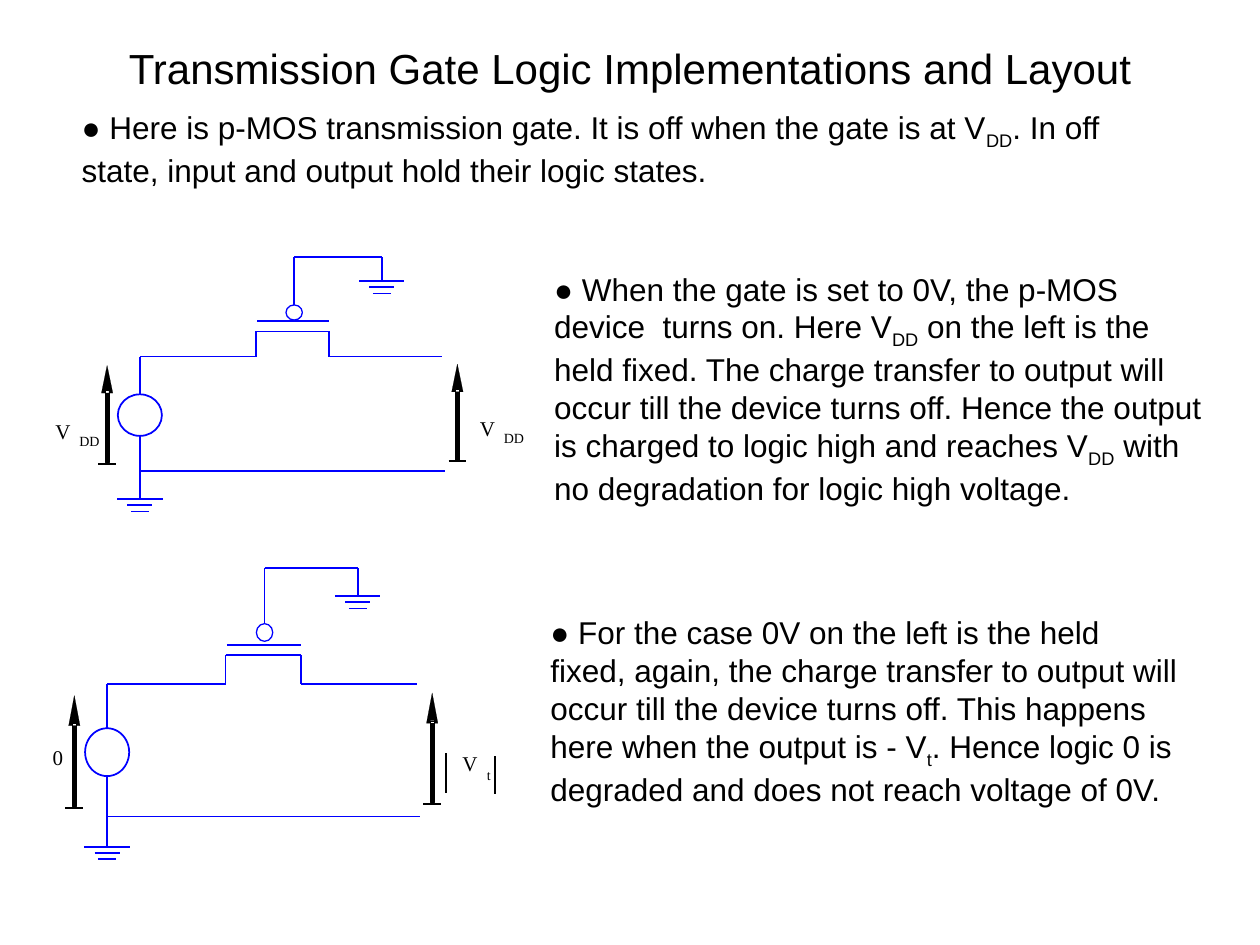
"""Build the slide on p-MOS transmission gates with two circuits and three notes."""
from lxml.etree import SubElement
from pptx import Presentation
from pptx.dml.color import RGBColor
from pptx.enum.shapes import MSO_CONNECTOR, MSO_SHAPE
from pptx.enum.text import MSO_ANCHOR, MSO_AUTO_SIZE, PP_ALIGN
from pptx.oxml.ns import qn
from pptx.util import Inches, Pt

BLUE = RGBColor(0, 0, 255)
BLACK = RGBColor(0, 0, 0)
WHITE = RGBColor(255, 255, 255)

TITLE = "Transmission Gate Logic Implementations and Layout"
NOTES = [
    ((0.55, 0.81, 8.72, 0.74),
     ("● Here is p-MOS transmission gate. It is off when the gate is at V", "DD",
      ". In off state, input and output hold their logic states.")),
    ((4.3, 2.09, 5.43, 1.98),
     ("● When the gate is set to 0V, the p-MOS device  turns on. Here V", "DD",
      " on the left is the held fixed. The charge transfer to output will occur "
      "till the device turns off. Hence the output is charged to logic high and "
      "reaches V", "DD", " with no degradation for logic high voltage.")),
    ((4.27, 4.82, 5.2, 1.64),
     ("● For the case 0V on the left is the held fixed, again, the charge transfer "
      "to output will occur till the device turns off. This happens here when the "
      "output is - V", "t",
      ". Hence logic 0 is degraded and does not reach voltage of 0V.")),
]
CIRCUITS = [
    dict(source=1.11, left=2.03, right=2.61, gate=2.335, ground=3.03, end=3.51,
         top=2.04, sink=2.23, bubble=(2.42, 0.12), plate=2.55, channel=2.63,
         rail=2.83, cell=(3.13, 0.33), back=3.74, base=3.96,
         arrows=[(0.85, 2.9, 3.67, 0.22), (3.63, 2.89, 3.65, 0.22)]),
    dict(source=0.85, left=1.79, right=2.39, gate=2.1, ground=2.84, end=3.31,
         top=4.51, sink=4.73, bubble=(4.95, 0.14), plate=5.12, channel=5.2,
         rail=5.43, cell=(5.78, 0.38), back=6.48, base=6.72,
         arrows=[(0.59, 5.52, 6.4, 0.24), (3.43, 5.5, 6.37, 0.24)]),
]
LABELS = [
    ("V", 12, 0.5, 3.32), ("DD", 8, 0.71, 3.43),
    ("V", 12, 3.87, 3.3), ("DD", 8, 4.08, 3.41),
    ("0", 12, 0.46, 5.91),
    ("V", 12, 3.73, 5.96), ("t", 8, 3.88, 6.08),
]
BARS = [(3.54, 5.98, 3.54, 6.29), (3.93, 6, 3.93, 6.3)]
EARTH = [(0, 0.18), (0.05, 0.1), (0.1, 0.07)]
WIDE = 0.24

deck = Presentation()
deck.slide_width, deck.slide_height = Inches(10), Inches(7.5)
slide = deck.slides.add_slide(deck.slide_layouts[5])
shapes = slide.shapes


def style(run, size, face):
    run.font.size, run.font.name = Pt(size), face
    run.font.color.rgb = BLACK


def wire(x1, y1, x2, y2, color=BLUE):
    line = shapes.add_connector(MSO_CONNECTOR.STRAIGHT,
                                *(Inches(n) for n in (x1, y1, x2, y2)))
    line.line.color.rgb, line.line.width = color, Pt(1)
    SubElement(line._element.spPr, qn("a:effectLst"))


def ring(x, y, wide, high, weight):
    oval = shapes.add_shape(MSO_SHAPE.OVAL, Inches(x - wide / 2), Inches(y),
                            Inches(wide), Inches(high))
    oval.shadow.inherit = False
    oval.fill.solid()
    oval.fill.fore_color.rgb = WHITE
    oval.line.color.rgb, oval.line.width = BLUE, Pt(weight)


def earth(x, y):
    for drop, half in EARTH:
        wire(x - half, y + drop, x + half, y + drop)


def arrow(x, tip, foot, head):
    neck = tip + head
    shaft = [(x - 0.015, foot), (x - 0.015, neck - 0.02),
             (x + 0.015, neck - 0.02), (x + 0.015, foot)]
    point = [(x - 0.045, neck), (x, tip), (x + 0.045, neck)]
    shaft, point = ([(Inches(a), Inches(b)) for a, b in part]
                    for part in (shaft, point))
    path = shapes.build_freeform(*shaft[0])
    path.add_line_segments(shaft[1:], close=True)
    path.move_to(*point[0])
    path.add_line_segments(point[1:], close=True)
    form = path.convert_to_shape()
    form.shadow.inherit = False
    form.fill.solid()
    form.fill.fore_color.rgb = BLACK
    form.line.color.rgb, form.line.width = BLACK, Pt(0.11)
    wire(x - 0.07, foot + 0.01, x + 0.07, foot + 0.01, BLACK)


def circuit(source, left, right, gate, ground, end, top, sink, bubble,
            plate, channel, rail, cell, back, base, arrows):
    for ends in [
        (left, channel, right, channel), (left + 0.01, plate, right, plate),
        (left, channel, left, rail), (right, channel, right, rail),
        (source, rail, left, rail), (right, rail, end, rail),
        (source, rail, source, cell[0]), (source, sum(cell), source, base),
        (source + 0.01, back, end + 0.02, back),
        (gate, bubble[0], gate, top), (gate, top, ground, top),
        (ground, top, ground, sink),
    ]:
        wire(*ends)
    ring(source, cell[0], 0.35, cell[1], 1)
    ring(gate, bubble[0], 0.13, bubble[1], 0.75)
    earth(source, base)
    earth(ground, sink)
    for item in arrows:
        arrow(*item)


def place(shape, area):
    shape.left, shape.top, shape.width, shape.height = (Inches(n) for n in area)


title = shapes.title
place(title, (0.36, 0.29, 9.28, 0.5))
frame = title.text_frame
frame.text = TITLE
frame.vertical_anchor = MSO_ANCHOR.TOP
frame.auto_size = MSO_AUTO_SIZE.SHAPE_TO_FIT_TEXT
frame.paragraphs[0].alignment = PP_ALIGN.CENTER
style(frame.paragraphs[0].runs[0], 24, "Arial")

for plan in CIRCUITS:
    circuit(**plan)
for bar in BARS:
    wire(*bar, BLACK)

for text, size, mid, y in LABELS:
    box = shapes.add_textbox(Inches(mid - WIDE / 2), Inches(y), Inches(WIDE),
                             Inches(size / 60))
    frame = box.text_frame
    frame.margin_left = frame.margin_right = 0
    frame.margin_top = frame.margin_bottom = 0
    frame.word_wrap = False
    frame.auto_size = MSO_AUTO_SIZE.SHAPE_TO_FIT_TEXT
    frame.text = text
    frame.paragraphs[0].alignment = PP_ALIGN.CENTER
    style(frame.paragraphs[0].runs[0], size, "Times New Roman")

for area, parts in NOTES:
    frame = shapes.add_textbox(*(Inches(n) for n in area)).text_frame
    frame.word_wrap = True
    frame.auto_size = MSO_AUTO_SIZE.SHAPE_TO_FIT_TEXT
    for index, text in enumerate(parts):
        run = frame.paragraphs[0].add_run()
        run.text = text
        style(run, 18, "Arial")
        if index % 2:
            run.font._element.set("baseline", "-25000")

deck.save("out.pptx")
